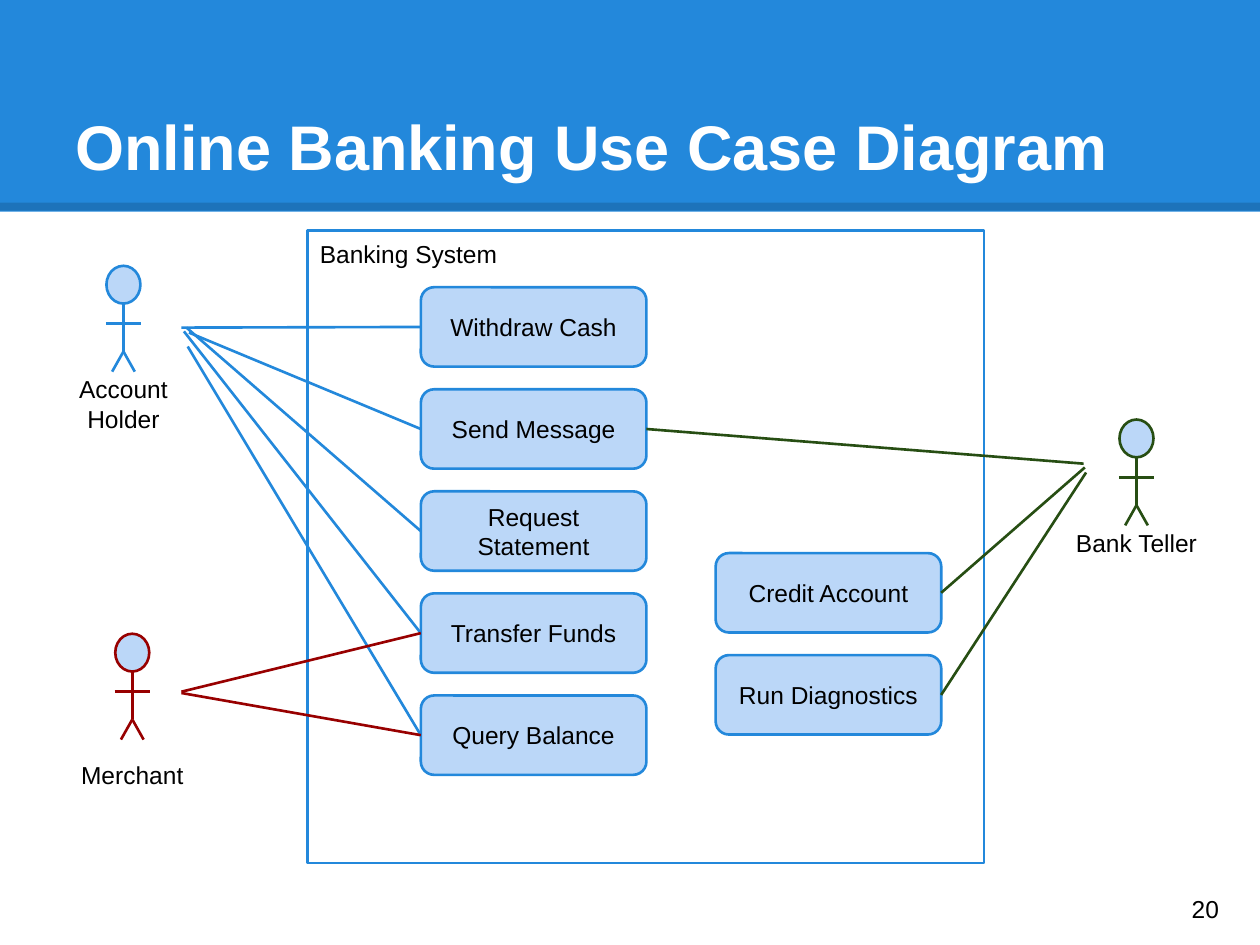
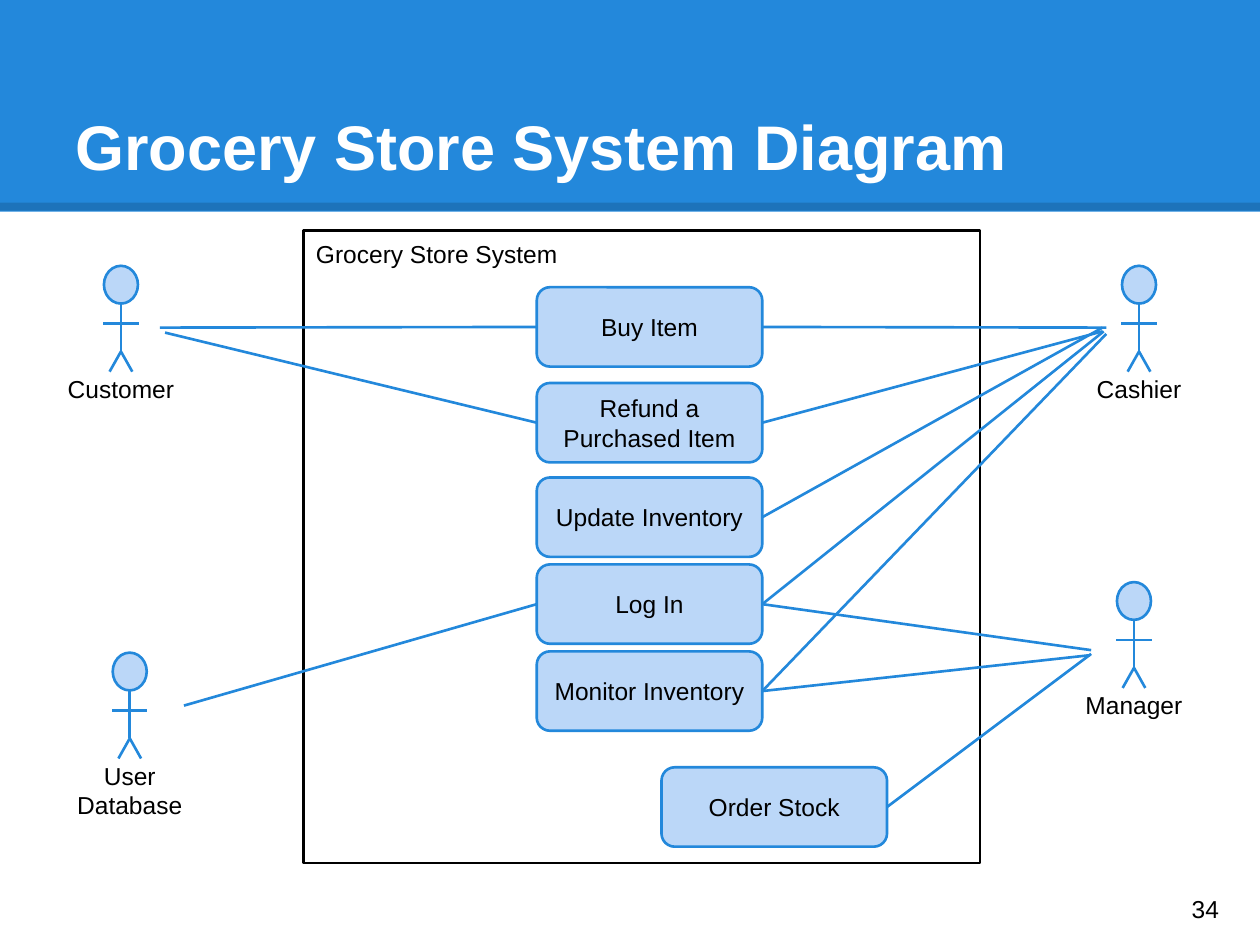
import pptx
import pptx.util
import pptx.dml.color
import pptx.enum.shapes
import pptx.enum.text
import pptx.oxml
import pptx.oxml.ns
from dataclasses import dataclass
from typing import Any

Inches = pptx.util.Inches
Kind = pptx.enum.shapes.MSO_SHAPE
Anchor = pptx.enum.text.MSO_ANCHOR
Align = pptx.enum.text.PP_ALIGN

HUES = {"blue": "2388DB", "pale": "BBD7F8", "red": "980000",
        "green": "274E13", "black": "000000", "white": "FFFFFF"}
INSETS = {f"margin_{side}": Inches(0.1)
          for side in ("left", "top", "right", "bottom")}
FRAME = INSETS | {"word_wrap": True, "vertical_anchor": Anchor.MIDDLE}
FONT = {"name": "Arial", "size": pptx.util.Pt(14), "bold": False}
TITLE = FONT | {"size": pptx.util.Pt(36), "bold": True}

CASE_W, CASE_H = 1.79, 0.63
HEAD_W, HEAD_H = 0.27, 0.3
LABEL_W = 1.24
# Stick figure strokes, measured from the top middle of the head
LIMBS = ((0, 0.3, 0, 0.68), (0, 0.68, -0.09, 0.84),
         (0, 0.68, 0.09, 0.84), (-0.14, 0.46, 0.14, 0.46))


@dataclass
class Case:
    name: str
    left: float
    top: float


@dataclass
class Tie:
    case: str
    x: float
    y: float


@dataclass
class Actor:
    name: str
    x: float
    top: float
    hue: str
    ties: list[Tie]
    drop: float = 0.76  # from top of head to top of label


@dataclass
class Scene:
    title: str
    system: str
    left: float
    edge: str
    cases: list[Case]
    actors: list[Actor]
    number: int


def color(hue: str) -> Any:
    return pptx.dml.color.RGBColor.from_string(HUES[hue])


def write(shape: Any, text: str, align: Any = Align.LEFT, hue: str = "black",
          font: dict = FONT, **extra: Any) -> None:
    frame = shape.text_frame
    for key, value in (FRAME | extra).items():
        setattr(frame, key, value)
    frame.text = text
    para = frame.paragraphs[0]
    para.alignment = align
    for key, value in font.items():
        setattr(para.font, key, value)
    para.font.color.rgb = color(hue)


def label(slide: Any, box: tuple, text: str, **style: Any) -> None:
    write(slide.shapes.add_textbox(*map(Inches, box)), text, **style)


def block(slide: Any, kind: Any, box: tuple, fill: str, edge: str = "") -> Any:
    shape = slide.shapes.add_shape(kind, *map(Inches, box))
    shape.shadow.inherit = False
    shape.fill.solid()
    shape.fill.fore_color.rgb = color(fill)
    if edge:
        shape.line.color.rgb = color(edge)
        shape.line.width = pptx.util.Pt(1.5)
    else:
        shape.line.fill.background()
    return shape


def stroke(slide: Any, ends: tuple, hue: str, width: float = 1.5) -> Any:
    line = slide.shapes.add_connector(
        pptx.enum.shapes.MSO_CONNECTOR.STRAIGHT, *map(Inches, ends))
    line.line.color.rgb = color(hue)
    line.line.width = pptx.util.Pt(width)
    props = line._element.spPr
    props.append(pptx.oxml.parse_xml(
        f"<a:effectLst {pptx.oxml.ns.nsdecls('a')}/>"))
    return line


def base(slide: Any, scene: Scene) -> None:
    # Title band with a translucent strip along its foot
    block(slide, Kind.RECTANGLE, (0, 0, 10, 1.68), "blue")
    strip = stroke(slide, (0, 1.64, 10, 1.64), "black", 4.5)
    tint = strip._element.spPr.find(".//" + pptx.oxml.ns.qn("a:srgbClr"))
    tint.append(pptx.oxml.parse_xml(
        f"<a:alpha {pptx.oxml.ns.nsdecls('a')} val='15000'/>"))
    label(slide, (0.5, 0.3, 9, 1.25), scene.title, hue="white", font=TITLE,
          vertical_anchor=Anchor.BOTTOM)
    # Page number
    label(slide, (9.36, 6.93, 0.6, 0.57), str(scene.number))


def person(slide: Any, actor: Actor) -> None:
    x, top = actor.x, actor.top
    block(slide, Kind.OVAL, (x - HEAD_W / 2, top, HEAD_W, HEAD_H),
          "pale", actor.hue)
    for x1, y1, x2, y2 in LIMBS:
        stroke(slide, (x + x1, top + y1, x + x2, top + y2), actor.hue)
    label(slide, (x - LABEL_W / 2, top + actor.drop, LABEL_W, HEAD_H),
          actor.name, align=Align.CENTER, vertical_anchor=Anchor.TOP)


def draw(deck: Any, scene: Scene) -> None:
    slide = deck.slides.add_slide(deck.slide_layouts[6])
    base(slide, scene)
    # System boundary
    bound = block(slide, Kind.RECTANGLE, (scene.left, 1.83, 5.37, 5.02),
                  "white", scene.edge)
    write(bound, scene.system, vertical_anchor=Anchor.TOP,
          margin_top=Inches(0.07))
    # Use cases
    boxes = {}
    for case in scene.cases:
        box = block(slide, Kind.ROUNDED_RECTANGLE,
                    (case.left, case.top, CASE_W, CASE_H), "pale", "blue")
        write(box, case.name, align=Align.CENTER)
        boxes[case.name] = box
    # Actors and their links to use cases
    for actor in scene.actors:
        person(slide, actor)
        for tie in actor.ties:
            box = boxes[tie.case]
            line = stroke(slide, (tie.x, tie.y) * 2, actor.hue)
            line.end_connect(box, 1 if Inches(tie.x) < box.left else 3)


def stack(left: float, top: float, step: float, *names: str) -> list[Case]:
    return [Case(name, left, top + i * step) for i, name in enumerate(names)]


BANK = Scene(
    "Online Banking Use Case Diagram", "Banking System", 2.44, "blue",
    stack(3.34, 2.28, 0.81, "Withdraw Cash", "Send Message",
          "Request Statement", "Transfer Funds", "Query Balance")
    + stack(5.68, 4.39, 0.81, "Credit Account", "Run Diagnostics"),
    [Actor("Account Holder", 0.98, 2.11, "blue", [
        Tie("Withdraw Cash", 1.44, 2.6), Tie("Send Message", 1.5, 2.64),
        Tie("Request Statement", 1.48, 2.6),
        Tie("Transfer Funds", 1.46, 2.63),
        Tie("Query Balance", 1.49, 2.75)]),
     Actor("Merchant", 1.05, 5.03, "red", [
         Tie("Transfer Funds", 1.44, 5.49),
         Tie("Query Balance", 1.44, 5.5)], drop=0.9),
     Actor("Bank Teller", 9.02, 3.33, "green", [
         Tie("Send Message", 8.6, 3.68), Tie("Credit Account", 8.61, 3.71),
         Tie("Run Diagnostics", 8.62, 3.75)])],
    20)

STORE = Scene(
    "Grocery Store System Diagram", "Grocery Store System", 2.41, "black",
    stack(4.26, 2.28, 0.76, "Buy Item", "Refund a Purchased Item")
    + stack(4.26, 3.79, 0.69, "Update Inventory", "Log In",
            "Monitor Inventory")
    + [Case("Order Stock", 5.25, 6.09)],
    [Actor("Customer", 0.96, 2.11, "blue", [
        Tie("Buy Item", 1.27, 2.6),
        Tie("Refund a Purchased Item", 1.31, 2.64)]),
     Actor("Cashier", 9.04, 2.11, "blue", [
         Tie("Buy Item", 8.78, 2.6),
         Tie("Refund a Purchased Item", 8.75, 2.63),
         Tie("Update Inventory", 8.75, 2.6), Tie("Log In", 8.76, 2.63),
         Tie("Monitor Inventory", 8.78, 2.65)]),
     Actor("Manager", 9, 4.62, "blue", [
         Tie("Log In", 8.66, 5.16), Tie("Monitor Inventory", 8.65, 5.2),
         Tie("Order Stock", 8.66, 5.19)]),
     Actor("User Database", 1.03, 5.18, "blue", [
         Tie("Log In", 1.46, 5.6)])],
    34)


def main() -> None:
    deck = pptx.Presentation()
    deck.slide_width, deck.slide_height = Inches(10), Inches(7.5)
    for scene in (BANK, STORE):
        draw(deck, scene)
    deck.save("out.pptx")


if __name__ == "__main__":
    main()
